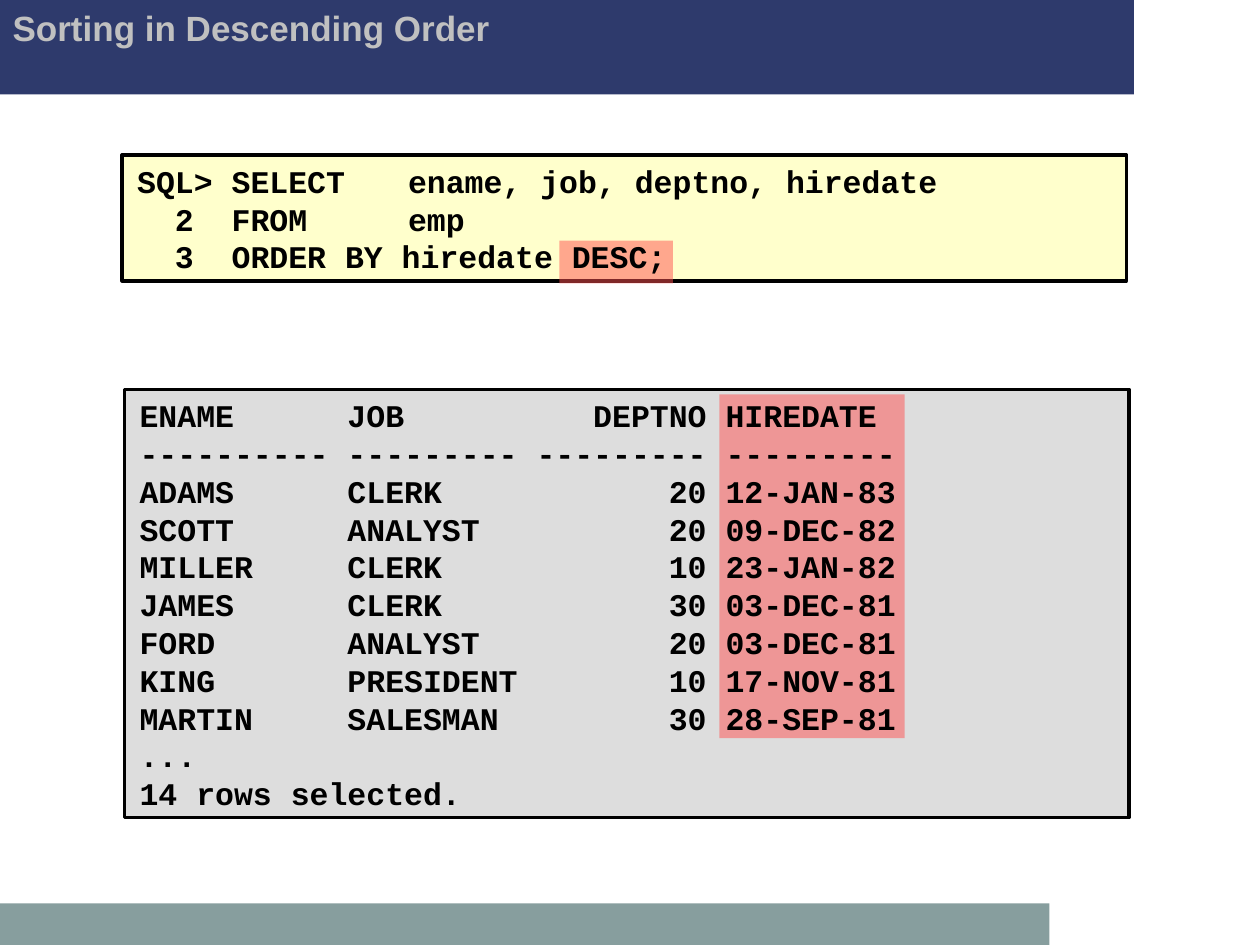
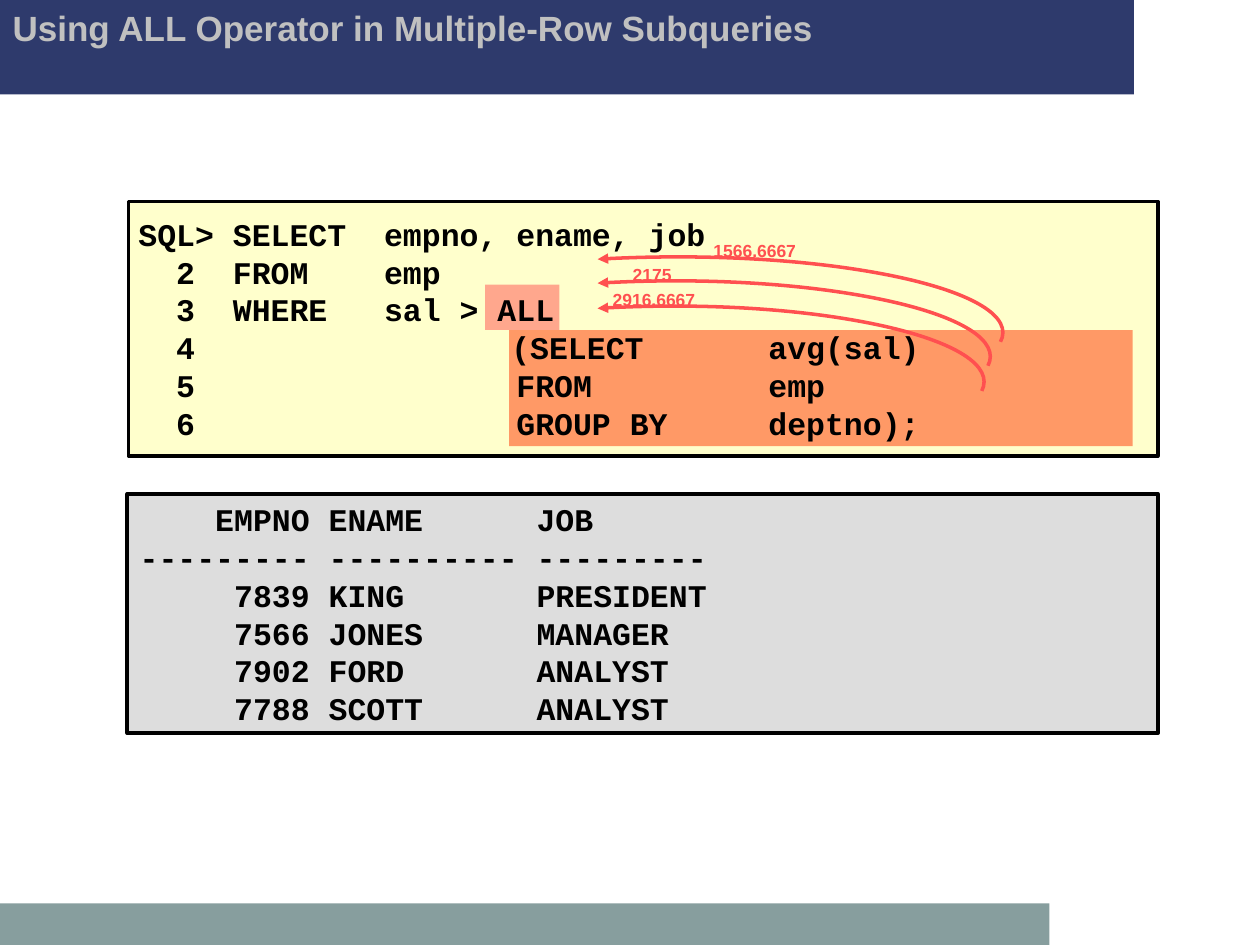
from dataclasses import dataclass
from math import cos, radians, sin, tan

from lxml.etree import SubElement as Sub
from pptx import Presentation
from pptx.dml.color import RGBColor as Rgb
from pptx.enum.shapes import MSO_SHAPE as Kind
from pptx.enum.text import MSO_ANCHOR as Anchor, MSO_AUTO_SIZE as Fit, PP_ALIGN as Align
from pptx.oxml.ns import qn
from pptx.util import Pt

PX = 9144  # 100 px to the inch


@dataclass(frozen=True)
class Theme:
    navy: str = "2E3A6C"
    sage: str = "879E9E"
    cream: str = "FFFFCC"
    grey: str = "DDDDDD"
    coral: str = "FF5050"
    orange: str = "FF9966"
    silver: str = "C0C0C0"
    ink: str = "000000"
    sans: str = "Arial"
    mono: str = "Courier New"
    head: int = 20
    code: int = 18
    note: int = 10
    rule: int = 2


def emu(*sizes):
    return [round(size * PX) for size in sizes]


def write(shape, text, font, size, color, align=Align.LEFT, anchor=Anchor.TOP,
          wrap=True, tabs=(), lead=None):
    """Fill a shape with bold text, one paragraph a line; tabs are in px."""
    frame = shape.text_frame
    frame.auto_size, frame.word_wrap = Fit.NONE, wrap
    frame.vertical_anchor = anchor
    frame.margin_left = frame.margin_right = 10 * PX
    frame.margin_top = frame.margin_bottom = 5 * PX
    for num, line in enumerate(text.split("\n")):
        para = frame.add_paragraph() if num else frame.paragraphs[0]
        if tabs:
            stops = Sub(para._p.get_or_add_pPr(), qn("a:tabLst"))
            for tab in tabs:
                Sub(stops, qn("a:tab"), pos=str(tab * PX), algn="l")
        para.alignment = align
        if lead:
            para.line_spacing = lead
        run = para.add_run()
        run.text = line
        run.font.name, run.font.size, run.font.bold = font, Pt(size), True
        run.font.color.rgb = Rgb.from_string(color)


class Deck:
    def __init__(self, theme):
        self.theme = theme
        self.show = Presentation()
        self.show.slide_width, self.show.slide_height = emu(1000, 750)
        self.base = self.show.slide_layouts[5]
        self.slide = None

    def start(self, title):
        first = self.slide is None
        self.slide = self.show.slides.add_slide(self.base)
        if first:
            self.bands()
        head, look = self.slide.shapes.title, self.theme
        head.left, head.top, head.width, head.height = emu(0, 0, 850, 75)
        write(head, title, look.sans, look.head, look.silver)

    def bands(self):
        """Move the top and bottom bands to the layout, behind every slide."""
        for box, fill in (((0, 0, 900, 75), self.theme.navy),
                          ((0, 717, 833, 33), self.theme.sage)):
            band = self.rect(box, fill)
            self.base.shapes._spTree.insert(2, band._element)

    def rect(self, box, fill, edge=None, alpha=None):
        shape = self.slide.shapes.add_shape(Kind.RECTANGLE, *emu(*box))
        shape.shadow.inherit = False
        shape.fill.solid()
        shape.fill.fore_color.rgb = Rgb.from_string(fill)
        if alpha:
            tint = shape._element.spPr.find(".//" + qn("a:srgbClr"))
            Sub(tint, qn("a:alpha"), val=str(alpha * 1000))
        if edge:
            shape.line.color.rgb = Rgb.from_string(edge)
            shape.line.width = Pt(self.theme.rule)
        else:
            shape.line.fill.background()
        return shape

    def panel(self, box, fill):
        return self.rect(box, fill, edge=self.theme.ink)

    def mark(self, box):
        return self.rect(box, self.theme.coral, alpha=50)

    def text(self, box):
        return self.slide.shapes.add_textbox(*emu(*box))

    def code(self, shape, lines, second=200):
        look = self.theme
        tabs = (131, second, *range(300, 800, 100))
        write(shape, lines, look.mono, look.code, look.ink,
              anchor=Anchor.MIDDLE, tabs=tabs)

    def label(self, box, value):
        look = self.theme
        write(self.text(box), value, look.sans, look.note, look.coral,
              align=Align.CENTER, wrap=False, lead=1.2)

    def arc(self, mid, radii, start=-104, end=7, parts=2):
        """Draw part of an ellipse as Bezier curves, with an arrowhead at start."""
        def spot(x, y):
            return emu(mid[0] + radii[0] * x, mid[1] + radii[1] * y)

        step = radians(end - start) / parts
        pull = 4 / 3 * tan(step / 4)
        dots = []
        for part in range(parts):
            a = radians(start) + part * step
            b = a + step
            dots += [spot(cos(a) - pull * sin(a), sin(a) + pull * cos(a)),
                     spot(cos(b) + pull * sin(b), sin(b) - pull * cos(b)),
                     spot(cos(b), sin(b))]
        first = spot(cos(radians(start)), sin(radians(start)))
        pen = self.slide.shapes.build_freeform(*first)
        pen.add_line_segments(dots, close=False)
        shape = pen.convert_to_shape()
        route = shape._element.spPr.find(".//" + qn("a:path"))
        legs = route.findall(qn("a:lnTo"))
        for num in range(0, len(legs), 3):
            curve = Sub(route, qn("a:cubicBezTo"))
            for leg in legs[num:num + 3]:
                curve.append(leg[0])
                route.remove(leg)
        shape.shadow.inherit = False
        shape.fill.background()
        shape.line.color.rgb = Rgb.from_string(self.theme.coral)
        shape.line.width = Pt(self.theme.rule)
        Sub(shape.line._get_or_add_ln(), qn("a:headEnd"), type="triangle")


SORT = """SQL> SELECT  \t ename, job, deptno, hiredate
  2  FROM    \t emp
  3  ORDER BY hiredate DESC;"""

STAFF = """ENAME      JOB          DEPTNO HIREDATE
---------- --------- --------- ---------
ADAMS      CLERK            20 12-JAN-83
SCOTT      ANALYST          20 09-DEC-82
MILLER     CLERK            10 23-JAN-82
JAMES      CLERK            30 03-DEC-81
FORD       ANALYST          20 03-DEC-81
KING       PRESIDENT        10 17-NOV-81
MARTIN     SALESMAN         30 28-SEP-81
...
14 rows selected."""

QUERY = """SQL> SELECT  empno, ename, job
  2  FROM    emp
  3  WHERE   sal > ALL
  4\t\t (SELECT\tavg(sal)
  5 \t\t\tFROM\t\temp
  6\t\t\tGROUP BY\tdeptno);"""

FOUND = """    EMPNO ENAME      JOB
--------- ---------- ---------
     7839 KING       PRESIDENT
     7566 JONES      MANAGER
     7902 FORD       ANALYST
     7788 SCOTT      ANALYST"""


def sorting(deck):
    look = deck.theme
    deck.start("Sorting in Descending Order")
    deck.panel((97, 123, 797, 100), look.cream)
    deck.panel((99, 309, 797, 340), look.grey)
    deck.mark((444, 191, 90, 34))
    deck.mark((571, 313, 147, 273))
    deck.code(deck.text((99, 122, 800, 103)), SORT)
    deck.code(deck.text((101, 308, 800, 343)), STAFF)


def nested(deck):
    look = deck.theme
    deck.start("Using ALL Operator in Multiple-Row Subqueries")
    deck.panel((102, 160, 817, 202), look.cream)
    deck.rect((404, 262, 495, 92), look.orange)
    deck.mark((385, 226, 59, 36))
    for mid, wide in (((534, 303), 247), ((535, 283), 251), ((537, 264), 259)):
        deck.arc(mid, (wide, 60))
    deck.label((476, 221, 86, 30), "2916.6667")
    deck.label((492, 201, 51, 30), "2175")
    deck.label((556, 182, 86, 30), "1566.6667")
    deck.code(deck.panel((101, 392, 818, 190), look.grey), FOUND, second=281)
    deck.code(deck.text((100, 158, 813, 205)), QUERY, second=281)


def main():
    deck = Deck(Theme())
    sorting(deck)
    nested(deck)
    deck.show.save("out.pptx")


if __name__ == "__main__":
    main()
